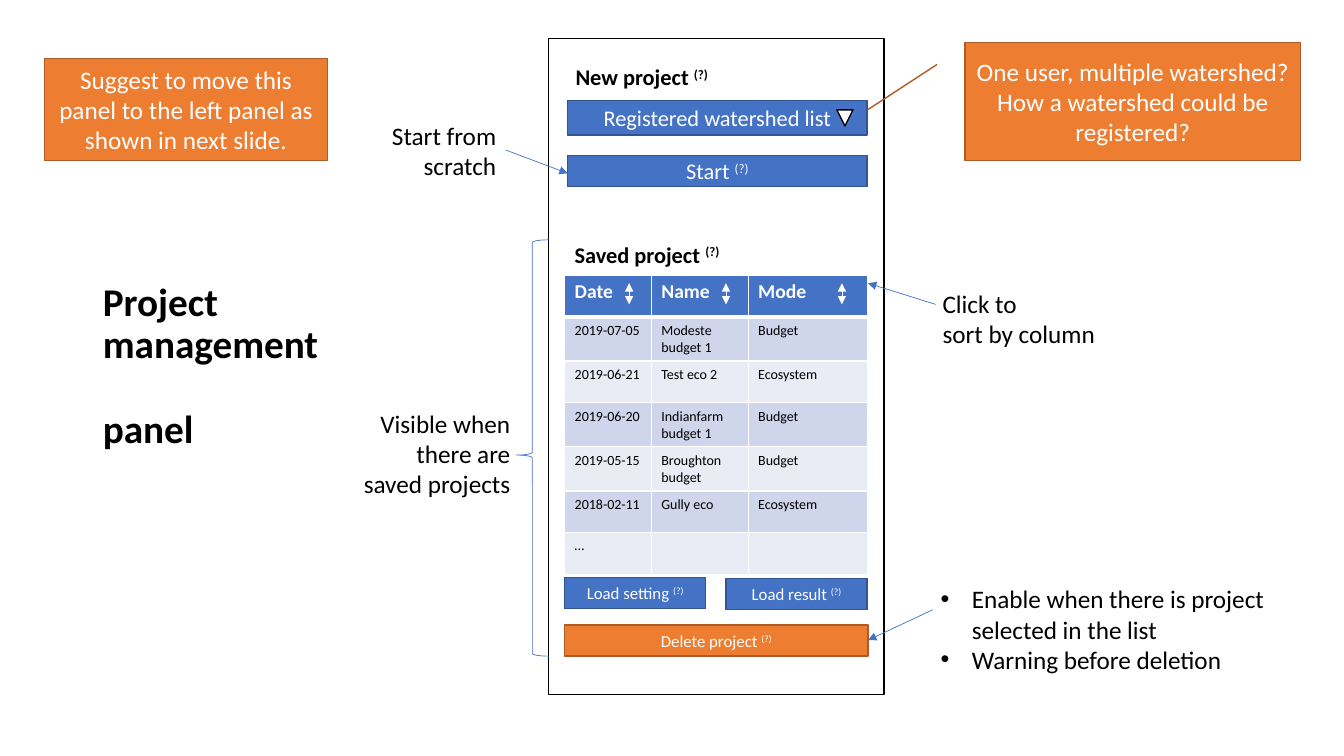
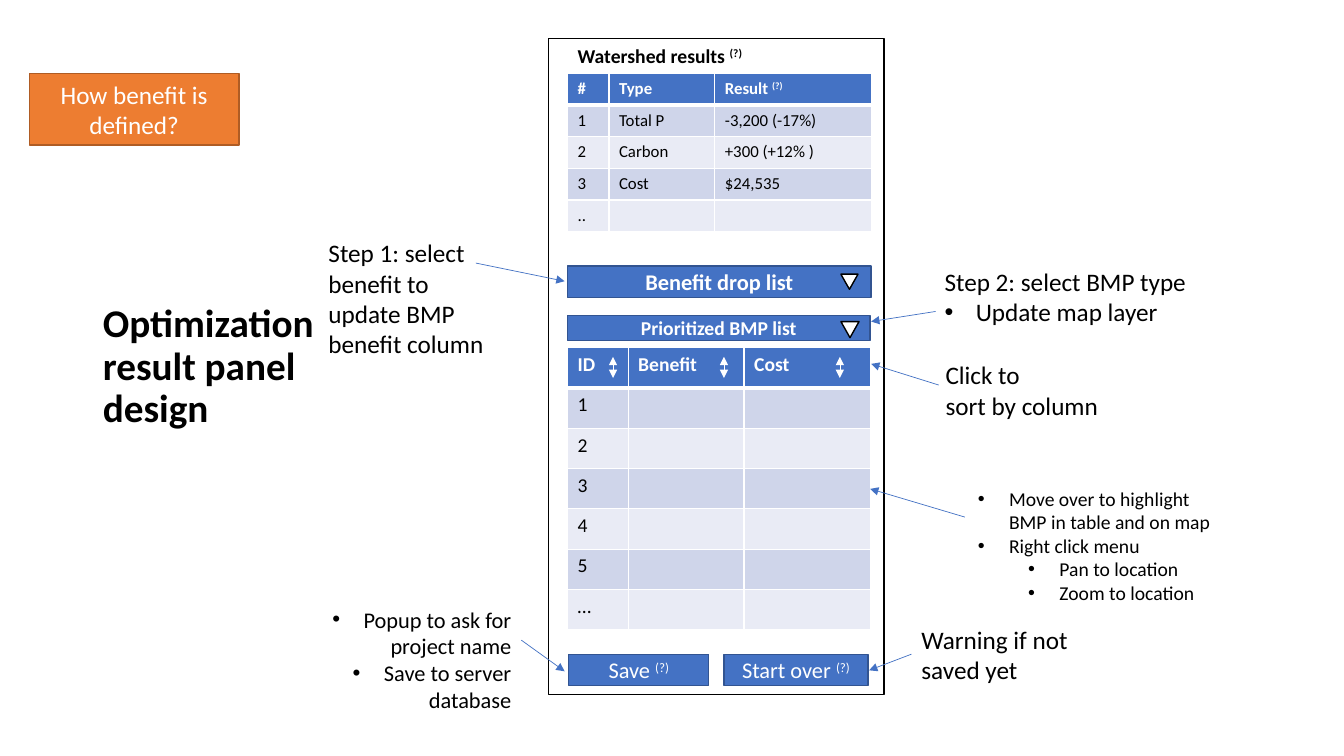
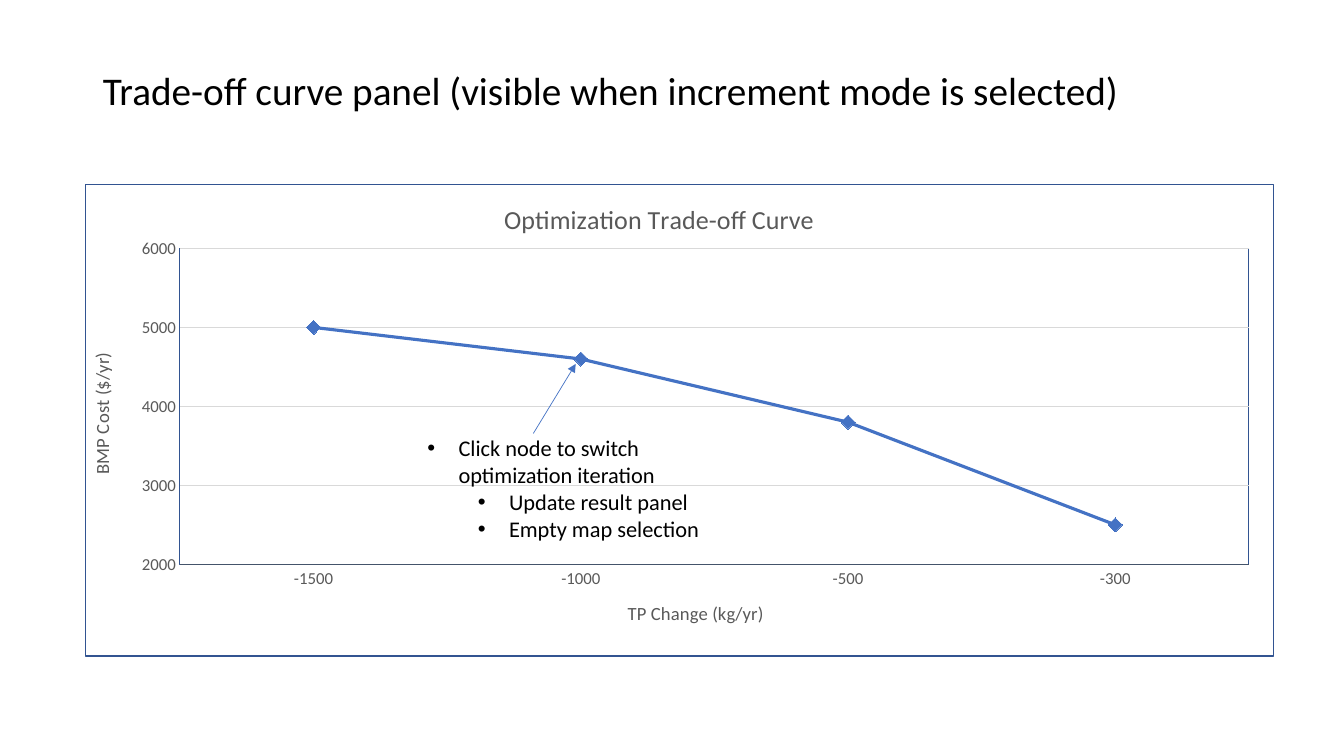
from lxml import etree
from pptx import Presentation
from pptx import util as u
from pptx.chart import data
from pptx.dml import color
from pptx.enum import chart as ch
from pptx.enum import shapes, text
from pptx.oxml import ns

FONT = "Calibri"
BLACK, WHITE, GREY = "000000", "FFFFFF", "595959"
BLUE, DARK_BLUE = "4472C4", "325491"
ORANGE, DARK_ORANGE = "ED7D31", "AF5C24"
BANDS = ("CFD5EA", "E9EBF5")
HINT = "(?)"
KIND, ALIGN, ANCHOR = shapes.MSO_SHAPE, text.PP_ALIGN, text.MSO_ANCHOR


def rgb(value):
    return color.RGBColor.from_string(value)


def place(area):
    return [u.Inches(value) for value in area]


def format_line(line, line_color, width):
    line.color.rgb = rgb(line_color)
    line.width = u.Pt(width)


def format_font(font, size, font_color, bold=False):
    font.name, font.size, font.bold = FONT, u.Pt(size), bold
    font.color.rgb = rgb(font_color)


def write(para, words, size, font_color=BLACK, bold=False):
    """Fill a paragraph, with any help hint as a superscript run."""
    main, hint, _ = words.partition(HINT)
    for part in filter(None, (main, hint)):
        span = para.add_run()
        span.text = part
        format_font(span.font, size, font_color, bold)
        if part == HINT:
            span._r.get_or_add_rPr().set("baseline", "30000")


def add_bullet(para, level):
    props = para._p.get_or_add_pPr()
    props.set("marL", str(u.Inches(0.31 + 0.5 * level)))
    props.set("indent", str(u.Inches(-0.31)))
    etree.SubElement(props, ns.qn("a:buFont"), typeface="Arial")
    etree.SubElement(props, ns.qn("a:buChar"), char="•")


def add_outline(parent, tag, line_color, width):
    """Append a line element of the given tag, where the API has none."""
    line = etree.SubElement(parent, ns.qn(tag), w=str(u.Pt(width)))
    fill = etree.SubElement(line, ns.qn("a:solidFill"))
    etree.SubElement(fill, ns.qn("a:srgbClr"), val=line_color)


def set_layout(parent, index, **values):
    """Give a chart part a manual layout, as fractions of the chart."""
    old = parent.find(ns.qn("c:layout"))
    if old is not None:
        parent.remove(old)
    layout = etree.Element(ns.qn("c:layout"))
    manual = etree.SubElement(layout, ns.qn("c:manualLayout"))
    if "w" in values:
        etree.SubElement(manual, ns.qn("c:layoutTarget"), val="inner")
    for axis in "xy":
        etree.SubElement(manual, ns.qn(f"c:{axis}Mode"), val="edge")
    for name, value in values.items():
        etree.SubElement(manual, ns.qn(f"c:{name}"), val=str(value))
    parent.insert(index, layout)


def title_chart_part(title, words, size, x, y):
    write(title.text_frame.paragraphs[0], words, size, GREY)
    set_layout(title._element, 1, x=x, y=y)


class Mockup:
    def __init__(self):
        self.deck = Presentation()
        self.deck.slide_width, self.deck.slide_height = place((13.33, 7.5))
        self.page = None

    def add_page(self, title, area=(0.92, 0.4, 2.34, 6.49), bold=True):
        self.page = self.deck.slides.add_slide(self.deck.slide_layouts[5])
        box = self.page.shapes.title
        box.left, box.top, box.width, box.height = place(area)
        frame = box.text_frame
        frame.auto_size = text.MSO_AUTO_SIZE.NONE
        frame.vertical_anchor = ANCHOR.MIDDLE
        para = frame.paragraphs[0]
        para.alignment, para.line_spacing = ALIGN.LEFT, 0.9
        for index, row in enumerate(title.split("\n")):
            if index:
                para.add_line_break()
                etree.SubElement(para._p[-1], ns.qn("a:rPr"), sz="2800")
            write(para, row, 28, BLACK, bold)

    def shape(self, area, fill=None, line=BLACK, width=1, kind=KIND.RECTANGLE):
        item = self.page.shapes.add_shape(kind, *place(area))
        item.shadow.inherit = False
        if fill:
            item.fill.solid()
            item.fill.fore_color.rgb = rgb(fill)
        else:
            item.fill.background()
        format_line(item.line, line, width)
        return item

    def panel(self):
        self.shape((5.44, 0.38, 3.33, 6.51), WHITE)

    def button(self, area, words, size=16, bold=False, fill=BLUE,
               line=DARK_BLUE, kind=KIND.RECTANGLE):
        item = self.shape(area, fill, line, kind=kind)
        item.text_frame.vertical_anchor = ANCHOR.MIDDLE
        para = item.text_frame.paragraphs[0]
        para.alignment = ALIGN.CENTER
        write(para, words, size, WHITE, bold)
        return item

    def remark(self, area, words, size=18, kind=KIND.RECTANGLE):
        return self.button(area, words, size, False, ORANGE, DARK_ORANGE, kind)

    def drop_mark(self, area):
        self.shape(area, WHITE, kind=KIND.ISOSCELES_TRIANGLE).rotation = 180

    def note(self, area, *lines, size=18, bold=False, align=ALIGN.LEFT, wrap=True):
        """Add a text box; a line is words, or (words, bullet level)."""
        box = self.page.shapes.add_textbox(*place(area))
        frame = box.text_frame
        frame.word_wrap = wrap
        frame.auto_size = text.MSO_AUTO_SIZE.SHAPE_TO_FIT_TEXT
        for index, line in enumerate(lines):
            para = frame.add_paragraph() if index else frame.paragraphs[0]
            para.alignment = align
            words, level = (line, None) if isinstance(line, str) else line
            if level is not None:
                add_bullet(para, level)
            write(para, words, size, BLACK, bold)

    def sort_note(self, left, top):
        self.note((left, top, 1.73, 0.71), "Click to", "sort by column", wrap=False)

    def arrow(self, start, end, line=BLUE, ends=("tailEnd",)):
        item = self.page.shapes.add_connector(
            shapes.MSO_CONNECTOR.STRAIGHT, *place(start + end))
        format_line(item.line, line, 0.5)
        for name in ends:
            etree.SubElement(item.line._get_or_add_ln(), ns.qn(f"a:{name}"),
                             type="triangle")
        etree.SubElement(item._element.spPr, ns.qn("a:effectLst"))

    def sort_marks(self, top, lefts):
        for left in lefts:
            self.arrow((left, top), (left, top + 0.21), WHITE, ("headEnd", "tailEnd"))

    def table(self, left, top, widths, height, rows, head_size, body_size):
        area = (left, top, sum(widths), height)
        table = self.page.shapes.add_table(len(rows), len(widths), *place(area)).table
        for column, width in zip(table.columns, widths):
            column.width = u.Inches(width)
        for r, row in enumerate(rows):
            table.rows[r].height = u.Inches(height / len(rows))
            size, ink, fill = ((body_size, BLACK, BANDS[(r - 1) % 2]) if r
                               else (head_size, WHITE, BLUE))
            for c in range(len(widths)):
                cell = table.cell(r, c)
                if r == 0:
                    add_outline(cell._tc.get_or_add_tcPr(), "a:lnB", WHITE, 3)
                cell.fill.solid()
                cell.fill.fore_color.rgb = rgb(fill)
                para = cell.text_frame.paragraphs[0]
                if c < len(row):
                    write(para, row[c], size, ink, r == 0)
                else:
                    etree.SubElement(para._p, ns.qn("a:endParaRPr"), sz=str(size * 100))

    def line_chart(self, area, title, category_title, value_title, points):
        source = data.CategoryChartData()
        source.categories = list(points)
        source.add_series("Series 1", list(points.values()))
        chart = self.page.shapes.add_chart(
            ch.XL_CHART_TYPE.LINE_MARKERS, *place(area), source).chart
        format_font(chart.font, 10, BLACK)
        chart.has_legend = False
        title_chart_part(chart.chart_title, title, 18.6, 0.351, 0.008)

        across, up = chart.category_axis, chart.value_axis
        title_chart_part(across.axis_title, category_title, 13.3, 0.457, 0.904)
        title_chart_part(up.axis_title, value_title, 13.3, 0, 0.35)
        body = up.axis_title._element.find(".//" + ns.qn("a:bodyPr"))
        body.set("rot", "-5400000")
        body.set("vert", "horz")
        for axis in (across, up):
            axis.major_tick_mark = axis.minor_tick_mark = ch.XL_TICK_MARK.NONE
            format_font(axis.tick_labels.font, 12, GREY)
        format_line(across.format.line, "44546A", 0.75)
        up.format.line.fill.background()
        up.minimum_scale, up.maximum_scale, up.major_unit = 2000, 6000, 1000
        format_line(up.major_gridlines.format.line, "D9D9D9", 0.75)

        plot = chart.plots[0]
        plot.vary_by_categories = False
        series = plot.series[0]
        series.smooth = False
        format_line(series.format.line, BLUE, 2.25)
        marker = series.marker
        marker.style, marker.size = ch.XL_MARKER_STYLE.DIAMOND, 10
        marker.format.fill.solid()
        marker.format.fill.fore_color.rgb = rgb(BLUE)
        format_line(marker.format.line, BLUE, 0.75)

        plot_area = chart._chartSpace.chart.plotArea
        set_layout(plot_area, 0, x=0.08, y=0.125, w=0.907, h=0.706)
        props = etree.SubElement(plot_area, ns.qn("c:spPr"))
        etree.SubElement(props, ns.qn("a:noFill"))
        add_outline(props, "a:ln", DARK_BLUE, 0.75)


def add_project_page(mock):
    mock.add_page("Project management \npanel")
    mock.panel()
    mock.button((5.6, 5.73, 1.4, 0.31), "Load setting (?)", 12)
    mock.table(5.6, 2.73, (0.86, 0.96, 1.19), 2.9, [
        ("Date", "Name", "Mode"),
        ("2019-07-05", "Modeste budget 1", "Budget"),
        ("2019-06-21", "Test eco 2", "Ecosystem"),
        ("2019-06-20", "Indianfarm budget 1", "Budget"),
        ("2019-05-15", "Broughton budget", "Budget"),
        ("2018-02-11", "Gully eco", "Ecosystem"),
        ("…",)], 14, 10)
    mock.sort_marks(2.81, (6.24, 7.2, 8.35))
    mock.sort_note(9.25, 2.81)
    mock.arrow((9.28, 3.02), (8.61, 2.81))
    mock.button((7.2, 5.74, 1.4, 0.31), "Load result (?)", 12)
    mock.button((5.63, 1.54, 2.97, 0.31), "Start (?)")
    mock.note((3.66, 1.14, 1.36, 0.71), "Start from scratch", align=ALIGN.RIGHT)
    mock.arrow((5.02, 1.49), (5.63, 1.72))
    mock.button((5.63, 1, 2.97, 0.34), "Registered watershed list")
    mock.drop_mark((8.3, 1.09, 0.16, 0.16))
    mock.note((5.61, 0.58, 1.92, 0.37), "New project (?)", size=16, bold=True)
    mock.note((5.6, 2.34, 1.92, 0.37), "Saved project (?)", size=16, bold=True)
    mock.note((3.49, 4, 1.67, 1.01), "Visible when there are saved projects",
              align=ALIGN.RIGHT)
    brace = mock.shape((5.12, 2.38, 0.32, 4.13), None, BLUE, 0.5, KIND.LEFT_BRACE)
    brace.adjustments[1] = 0.517
    mock.remark((5.6, 6.2, 3.01, 0.31), "Delete project (?)", 12)
    mock.note((9.23, 5.74, 3.49, 1.01),
              ("Enable when there is project selected in the list", 0),
              ("Warning before deletion", 0))
    mock.arrow((9.25, 6.05), (8.61, 6.35))
    callout = mock.remark(
        (9.57, 0.42, 3.33, 1.17),
        "One user, multiple watershed? How a watershed could be registered?",
        kind=KIND.LINE_CALLOUT_1)
    for index, value in enumerate((0.188, -0.083, 0.569, -0.288)):
        callout.adjustments[index] = value
    mock.remark((0.44, 0.58, 2.81, 1.01),
                "Suggest to move this panel to the left panel as shown in next slide.")


def add_result_page(mock):
    mock.add_page("Optimization result panel design")
    mock.panel()
    mock.button((5.64, 6.49, 1.39, 0.31), "Save (?)")
    mock.table(5.63, 0.73, (0.41, 1.05, 1.55), 1.57, [
        ("#", "Type", "Result (?)"),
        ("1", "Total P", "-3,200 (-17%)"),
        ("2", "Carbon", "+300 (+12% )"),
        ("3", "Cost", "$24,535"),
        ("..",)], 12, 12)
    mock.table(5.63, 3.45, (0.6, 1.15, 1.25), 2.8,
               [("ID", "Benefit", "Cost"), *((mark,) for mark in "12345…")], 14, 14)
    mock.button((5.63, 3.13, 3, 0.25), "Prioritized BMP list", 14, True)
    mock.drop_mark((8.34, 3.19, 0.18, 0.16))
    mock.note((5.63, 0.39, 2.39, 0.34), "Watershed results (?)", size=14, bold=True)
    mock.button((7.18, 6.49, 1.43, 0.31), "Start over (?)")
    mock.button((5.63, 2.64, 3.01, 0.31), "Benefit drop list", bold=True)
    mock.drop_mark((8.34, 2.72, 0.17, 0.15))
    mock.sort_marks(3.54, (6.08, 7.18, 8.33))
    mock.sort_note(9.28, 3.52)
    mock.note((9.6, 4.78, 2.63, 1.28),
              ("Move over to highlight BMP in table and on map", 0),
              ("Right click menu", 0), ("Pan to location", 1),
              ("Zoom to location", 1), size=14)
    mock.note((2.83, 5.96, 2.34, 1.18), ("Popup to ask for project name", 0),
              ("Save to server database", 0), size=16, align=ALIGN.RIGHT)
    mock.note((9.04, 6.14, 1.94, 0.71), "Warning if not saved yet")
    mock.note((3.16, 2.31, 1.8, 1.31),
              "Step 1: select benefit to update BMP benefit column")
    mock.note((9.27, 2.59, 2.76, 0.71), "Step 2: select BMP type",
              ("Update map layer", 0))
    for start, end in (((9.31, 3.82), (8.64, 3.61)), ((9.57, 5.13), (8.63, 4.85)),
                       ((5.17, 6.35), (5.6, 6.66)), ((9.04, 6.49), (8.62, 6.65)),
                       ((4.72, 2.61), (5.6, 2.79)), ((9.28, 3.09), (8.64, 3.19))):
        mock.arrow(start, end)
    mock.remark((0.29, 0.73, 2.08, 0.71), "How benefit is defined?")


def add_curve_page(mock):
    mock.add_page("Trade-off curve panel (visible when increment mode is selected)",
                  (0.92, 0.4, 11.5, 1.05), False)
    mock.shape((0.85, 1.83, 11.78, 4.68), None, DARK_BLUE)
    mock.line_chart((0.85, 1.91, 11.69, 4.44), "Optimization Trade-off Curve",
                    "TP Change (kg/yr)", "BMP Cost ($/yr)",
                    {"-1500": 5000, "-1000": 4600, "-500": 3800, "-300": 2500})
    mock.note((4.14, 4.26, 3.21, 1.18),
              ("Click node to switch optimization iteration", 0),
              ("Update result panel", 1), ("Empty map selection", 1), size=16)
    mock.arrow((5.29, 4.3), (5.71, 3.61))


def main():
    mock = Mockup()
    add_project_page(mock)
    add_result_page(mock)
    add_curve_page(mock)
    mock.deck.save("out.pptx")


if __name__ == "__main__":
    main()
